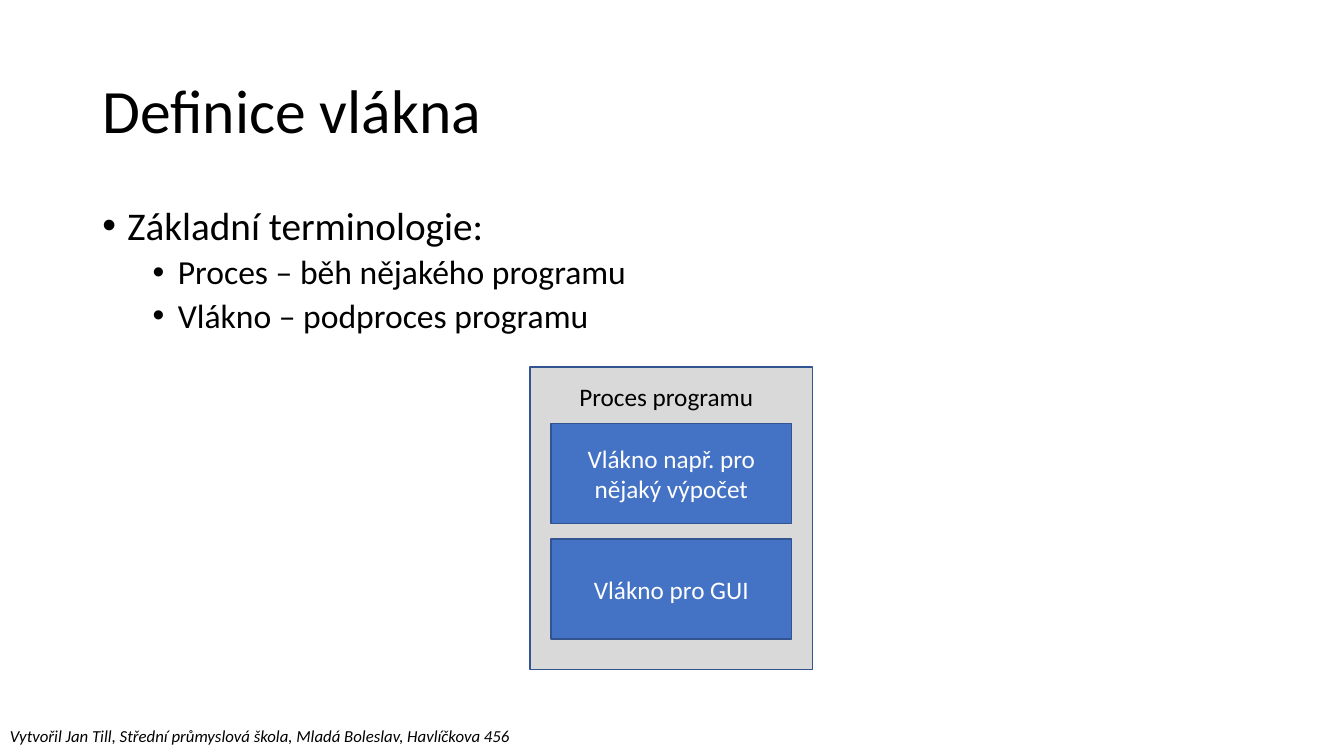
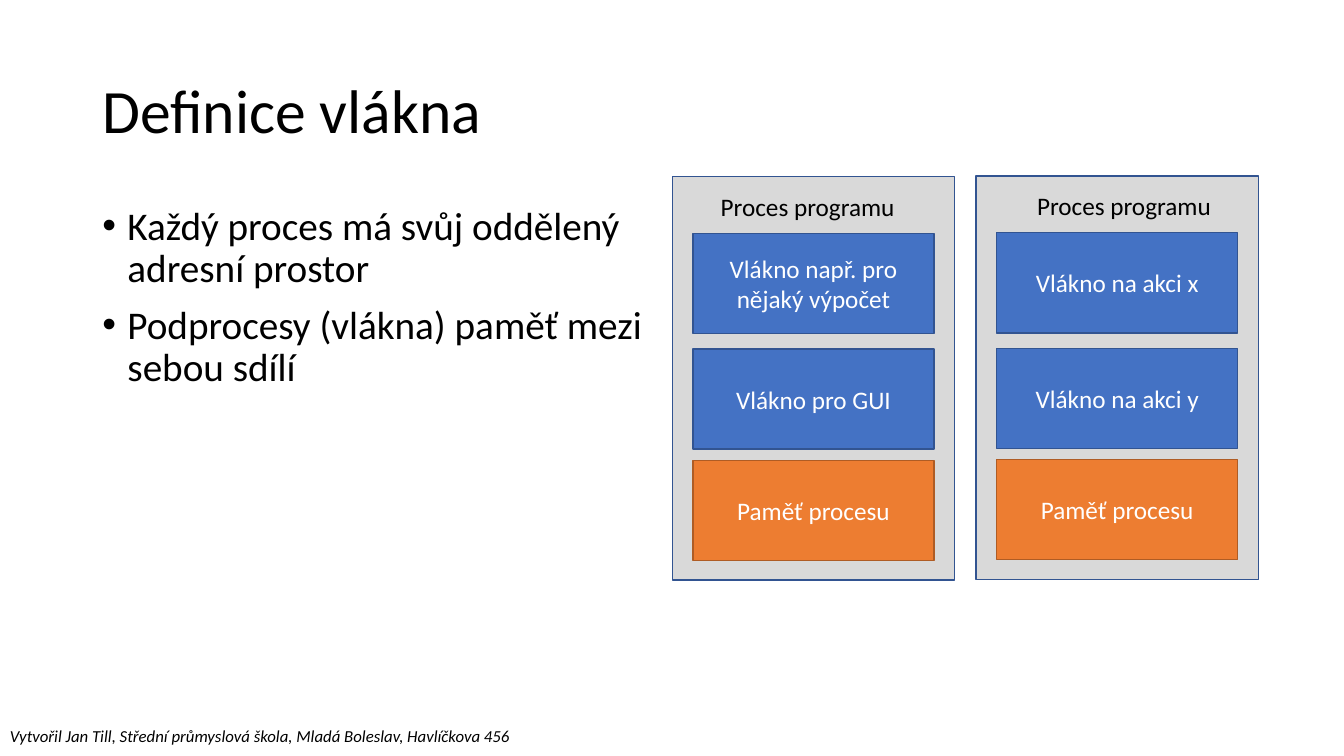
"""Build two slides that define a thread with process diagrams."""
from dataclasses import dataclass

from lxml.etree import SubElement
from pptx import Presentation
from pptx.dml.color import RGBColor
from pptx.enum.shapes import MSO_SHAPE as Shape
from pptx.enum.text import MSO_ANCHOR as Anchor, MSO_AUTO_SIZE as AutoSize, PP_ALIGN as Align
from pptx.oxml.ns import qn
from pptx.util import Pt

TITLE = "Definice vlákna"
FOOTER = "Vytvořil Jan Till, Střední průmyslová škola, Mladá Boleslav, Havlíčkova 456"
PROCESS = "Proces programu"
PROGRAM_THREADS = [("Vlákno např. pro nějaký výpočet", "thread"), ("Vlákno pro GUI", "thread")]
ACTION_THREADS = [("Vlákno na akci x", "thread"), ("Vlákno na akci y", "thread")]
MEMORY = [("Paměť procesu", "memory")]
SLIDES = [
    {
        "bullets": [
            (0, "Základní terminologie:"),
            (1, "Proces – běh nějakého programu"),
            (1, "Vlákno – podproces programu"),
        ],
        "body_size": (828, 113.76),
        "processes": [
            {"at": (378.72, 262.08), "height": 216, "label_left": 28, "parts": PROGRAM_THREADS},
        ],
    },
    {
        "bullets": [
            (0, "Každý proces má svůj oddělený adresní prostor"),
            (0, "Podprocesy (vlákna) paměť mezi sebou sdílí"),
        ],
        "body_size": (444.24, 169.92),
        "processes": [
            {"at": (480.24, 126.3), "height": 288, "label_left": 27.5, "parts": PROGRAM_THREADS + MEMORY},
            {"at": (697.2, 125.8), "height": 288, "label_left": 36.5, "parts": ACTION_THREADS + MEMORY},
        ],
    },
]


@dataclass(frozen=True)
class Theme:
    """Fonts, type sizes and colours shared by the slides."""
    font: str = "Calibri"
    bullet_font: str = "Arial"
    title: int = 44
    bullets: tuple = (28, 24)
    label: int = 18
    footer: int = 12
    text: str = "000000"
    on_fill: str = "FFFFFF"
    process: tuple = ("D9D9D9", "325491")
    thread: tuple = ("4472C4", "325491")
    memory: tuple = ("ED7D31", "AF5C24")


THEME = Theme()
SLIDE_SIZE = (960, 540)
MARGIN_LEFT = 66
TITLE_BOX = (MARGIN_LEFT, 28.8, 828, 104.4)
BODY_TOP = 144
FOOTER_BOX = (0, 514.8, 375.12, 21.6)
PROCESS_WIDTH = 201.6
PART_SIZE = (172.08, 71.5)
PART_LEFT = (PROCESS_WIDTH - PART_SIZE[0]) / 2
PART_TOPS = (40.5, 123, 202.5)
LABEL_TOP, LABEL_HEIGHT = 6.5, 29
LEVEL_INDENTS = (18, 54)
LEVEL_SPACING = (10, 5)
HANGING = 18


def points(values):
    return [Pt(value) for value in values]


def add_run(paragraph, text, size, color=THEME.text, italic=False):
    run = paragraph.add_run()
    run.text = text
    run.font.name = THEME.font
    run.font.size = Pt(size)
    run.font.italic = italic
    run.font.color.rgb = RGBColor.from_string(color)


def add_text_box(shapes, box, wrap=True):
    frame = shapes.add_textbox(*points(box)).text_frame
    frame.word_wrap = wrap
    return frame


def add_title(slide):
    frame = add_text_box(slide.shapes, TITLE_BOX)
    frame.vertical_anchor = Anchor.MIDDLE
    paragraph = frame.paragraphs[0]
    paragraph.line_spacing = 0.9
    add_run(paragraph, TITLE, THEME.title)


def add_bullets(slide, bullets, size):
    frame = add_text_box(slide.shapes, (MARGIN_LEFT, BODY_TOP, *size))
    for index, (level, text) in enumerate(bullets):
        paragraph = frame.add_paragraph() if index else frame.paragraphs[0]
        paragraph.level = level
        paragraph.line_spacing = 0.9
        paragraph.space_before = Pt(LEVEL_SPACING[level])
        properties = paragraph._p.get_or_add_pPr()
        properties.set("marL", str(Pt(LEVEL_INDENTS[level])))
        properties.set("indent", str(-Pt(HANGING)))
        SubElement(properties, qn("a:buFont")).set("typeface", THEME.bullet_font)
        SubElement(properties, qn("a:buChar")).set("char", "•")
        add_run(paragraph, text, THEME.bullets[level])


def add_footer(slide):
    frame = add_text_box(slide.shapes, FOOTER_BOX, wrap=False)
    frame.auto_size = AutoSize.SHAPE_TO_FIT_TEXT
    add_run(frame.paragraphs[0], FOOTER, THEME.footer, italic=True)


def add_rectangle(shapes, box, colors):
    shape = shapes.add_shape(Shape.RECTANGLE, *points(box))
    fill, line = colors
    shape.shadow.inherit = False
    shape.fill.solid()
    shape.fill.fore_color.rgb = RGBColor.from_string(fill)
    shape.line.color.rgb = RGBColor.from_string(line)
    shape.line.width = Pt(1)
    return shape


def add_process(slide, at, height, label_left, parts):
    left, top = at
    shapes = slide.shapes.add_group_shape().shapes
    add_rectangle(shapes, (left, top, PROCESS_WIDTH, height), THEME.process)
    for (text, kind), part_top in zip(parts, PART_TOPS):
        box = (left + PART_LEFT, top + part_top, *PART_SIZE)
        frame = add_rectangle(shapes, box, getattr(THEME, kind)).text_frame
        frame.word_wrap = True
        frame.vertical_anchor = Anchor.MIDDLE
        paragraph = frame.paragraphs[0]
        paragraph.alignment = Align.CENTER
        add_run(paragraph, text, THEME.label, THEME.on_fill)
    label_box = (left + label_left, top + LABEL_TOP, PROCESS_WIDTH - label_left, LABEL_HEIGHT)
    label = add_text_box(shapes, label_box)
    add_run(label.paragraphs[0], PROCESS, THEME.label)


def build():
    presentation = Presentation()
    presentation.slide_width, presentation.slide_height = points(SLIDE_SIZE)
    for content in SLIDES:
        slide = presentation.slides.add_slide(presentation.slide_layouts[6])
        add_title(slide)
        add_bullets(slide, content["bullets"], content["body_size"])
        add_footer(slide)
        for process in content["processes"]:
            add_process(slide, **process)
    presentation.save("out.pptx")


build()
